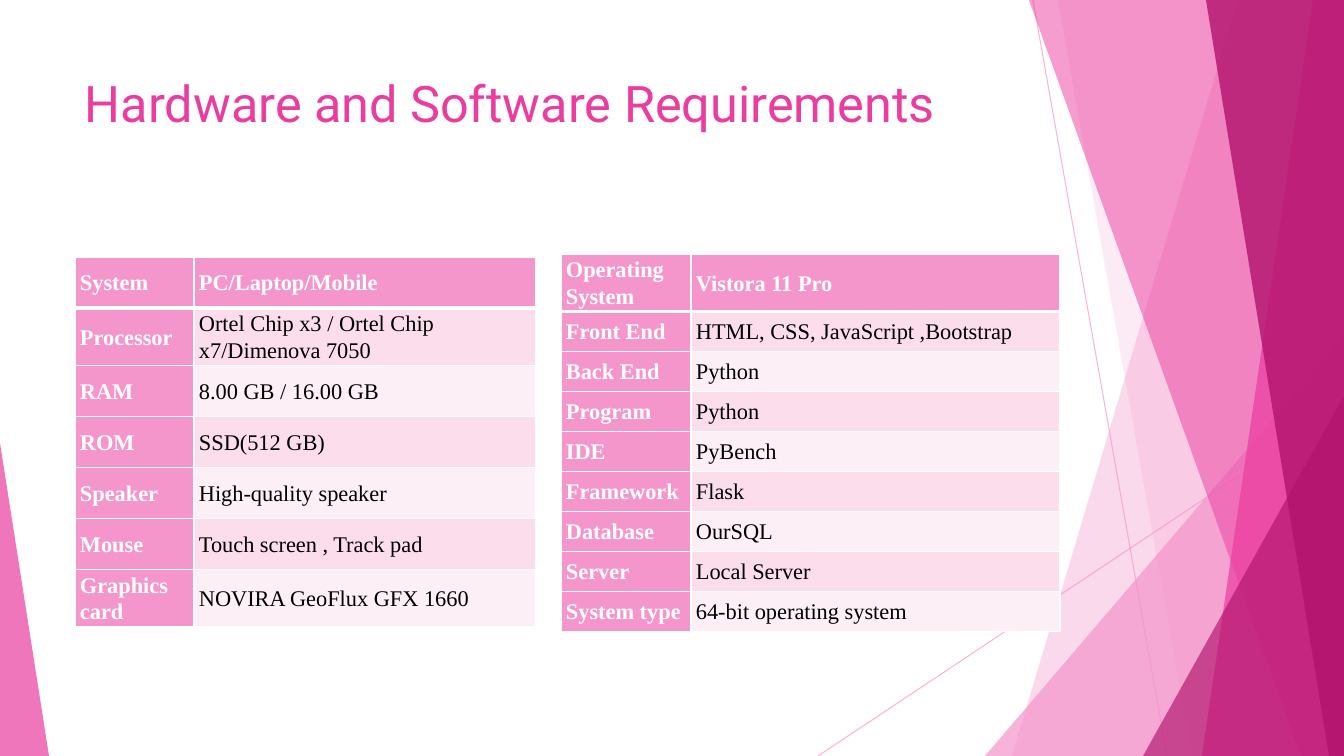
from lxml import etree
from pptx import Presentation
from pptx import util as u
from pptx.dml.color import RGBColor
from pptx.enum import shapes, text
from pptx.oxml.ns import qn

PX = 12192000 / 1344  # EMU per px
COLORS = {"light": "F496CB", "pink": "EB3D9F", "dark": "B2136D", "white": "FFFFFF",
          "black": "000000", "odd": "FBDDEC", "even": "FDEFF6"}


def px(*values):
    return [u.Emu(round(v * PX)) for v in values]


def paint(fill, color, opacity=100):
    fill.solid()
    fill.fore_color.rgb = RGBColor.from_string(COLORS[color])
    if opacity < 100:
        clr = fill._xPr.find(qn("a:solidFill"))[0]
        etree.SubElement(clr, qn("a:alpha"), val=str(opacity * 1000))


prs = Presentation()
prs.slide_width, prs.slide_height = px(1344, 756)
s = prs.slides.add_slide(prs.slide_layouts[6])

# Thin crossing lines
for ends in [(1033, 0, 1167, 756), (1344, 406, 818, 756)]:
    line = s.shapes.add_connector(shapes.MSO_CONNECTOR.STRAIGHT, *px(*ends))
    line.line.width = u.Pt(0.75)
    paint(line.line.fill, "light", 70)
    etree.SubElement(line._element.spPr, qn("a:effectLst"))

# Translucent facets, back to front
# band: top left x, bottom left x; triangle: left, top, width, height, apex
facets = [
    ("band", (1238, 1012), "light", 36),
    ("band", (1058, 1192), "light", 20),
    ("triangle", (985, 336, 359, 420, 1), "light", 72),
    ("band", (1029, 1301), "pink", 50),
    ("band", (1313, 1202), "pink", 70),
    ("band", (1206, 1329), "dark", 80),
    ("triangle", (1143, 396, 201, 360, 1), "dark", 66),
    ("triangle", (0, 443, 49, 313, 0), "pink", 70),
]
for kind, place, color, opacity in facets:
    if kind == "band":
        top_x, bottom_x = place
        outline = s.shapes.build_freeform(top_x, 0, scale=PX)
        outline.add_line_segments([(1344, 0), (1344, 756), (bottom_x, 756)], close=True)
        sp = outline.convert_to_shape()
    else:
        *box, apex = place
        sp = s.shapes.add_shape(shapes.MSO_SHAPE.ISOSCELES_TRIANGLE, *px(*box))
        sp.adjustments[0] = apex
    sp.shadow.inherit = False
    sp.line.fill.background()
    paint(sp.fill, color, opacity)

# Title
tf = s.shapes.add_textbox(*px(75, 67, 948, 145)).text_frame
tf.word_wrap = True
r = tf.paragraphs[0].add_run()
r.text = "Hardware and Software Requirements"
r.font.name, r.font.size = "Roboto", u.Pt(36)
paint(r.font.fill, "pink")

# Requirement tables: left, top, column widths, row height, rows
hardware = [
    ("System", "PC/Laptop/Mobile"),
    ("Processor", "Ortel Chip x3 / Ortel Chip x7/Dimenova 7050"),
    ("RAM", "8.00 GB / 16.00 GB"),
    ("ROM", "SSD(512 GB)"),
    ("Speaker", "High-quality speaker"),
    ("Mouse", "Touch screen , Track pad"),
    ("Graphics card", "NOVIRA GeoFlux GFX 1660"),
]
software = [
    ("Operating System", "Vistora 11 Pro"),
    ("Front End", "HTML, CSS, JavaScript ,Bootstrap"),
    ("Back End", "Python"),
    ("Program", "Python"),
    ("IDE", "PyBench"),
    ("Framework", "Flask"),
    ("Database", "OurSQL"),
    ("Server", "Local Server"),
    ("System type", "64-bit operating system"),
]
for left, top, widths, row_height, rows in [
    (75, 257, (119, 342), 51, hardware),
    (561, 254, (130, 369), 40, software),
]:
    frame = s.shapes.add_table(len(rows), 2, *px(left, top, sum(widths), row_height * len(rows)))
    table = frame.table
    table.first_col = True
    for column, width in zip(table.columns, px(*widths)):
        column.width = width
    for i, row in enumerate(rows):
        table.rows[i].height = px(row_height)[0]
        for j, words in enumerate(row):
            cell = table.cell(i, j)
            heading = i == 0 or j == 0
            cell.margin_left, cell.margin_right = px(5, 6)
            cell.margin_top = cell.margin_bottom = 0
            cell.vertical_anchor = text.MSO_ANCHOR.MIDDLE

            # White borders, thick under the header row
            for side in ("L", "R", "T", "B"):
                thick = (i, side) in [(0, "B"), (1, "T")]
                ln = etree.SubElement(cell._tc.get_or_add_tcPr(), qn(f"a:ln{side}"),
                                      w=str(u.Pt(3 if thick else 1)))
                solid = etree.SubElement(ln, qn("a:solidFill"))
                etree.SubElement(solid, qn("a:srgbClr"), val=COLORS["white"])
            paint(cell.fill, "light" if heading else "odd" if i % 2 else "even")

            p = cell.text_frame.paragraphs[0]
            p.line_spacing = 1.07
            r = p.add_run()
            r.text = words
            r.font.name, r.font.size, r.font.bold = "Times New Roman", u.Pt(16), heading
            paint(r.font.fill, "white" if heading else "black")

prs.save("out.pptx")
